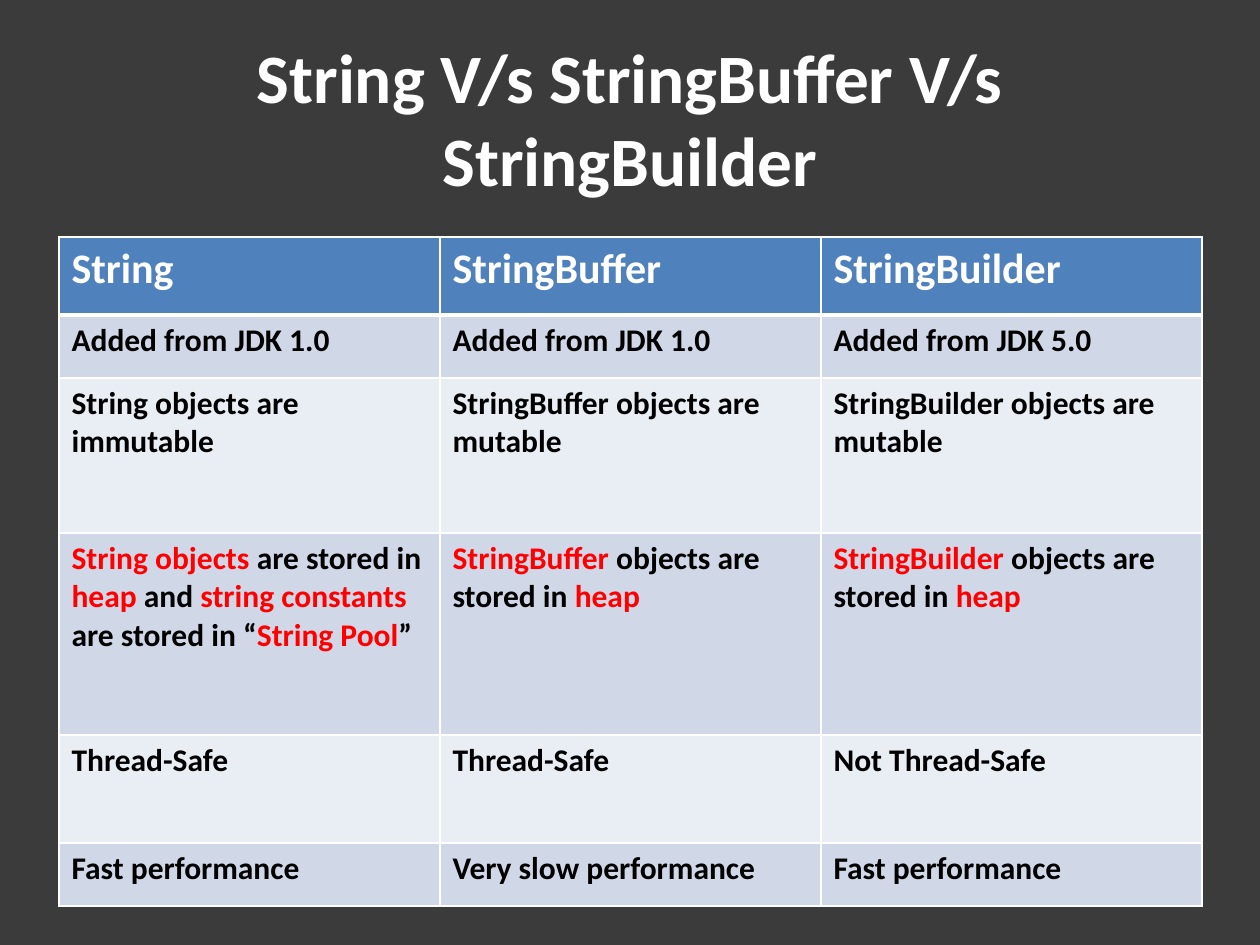
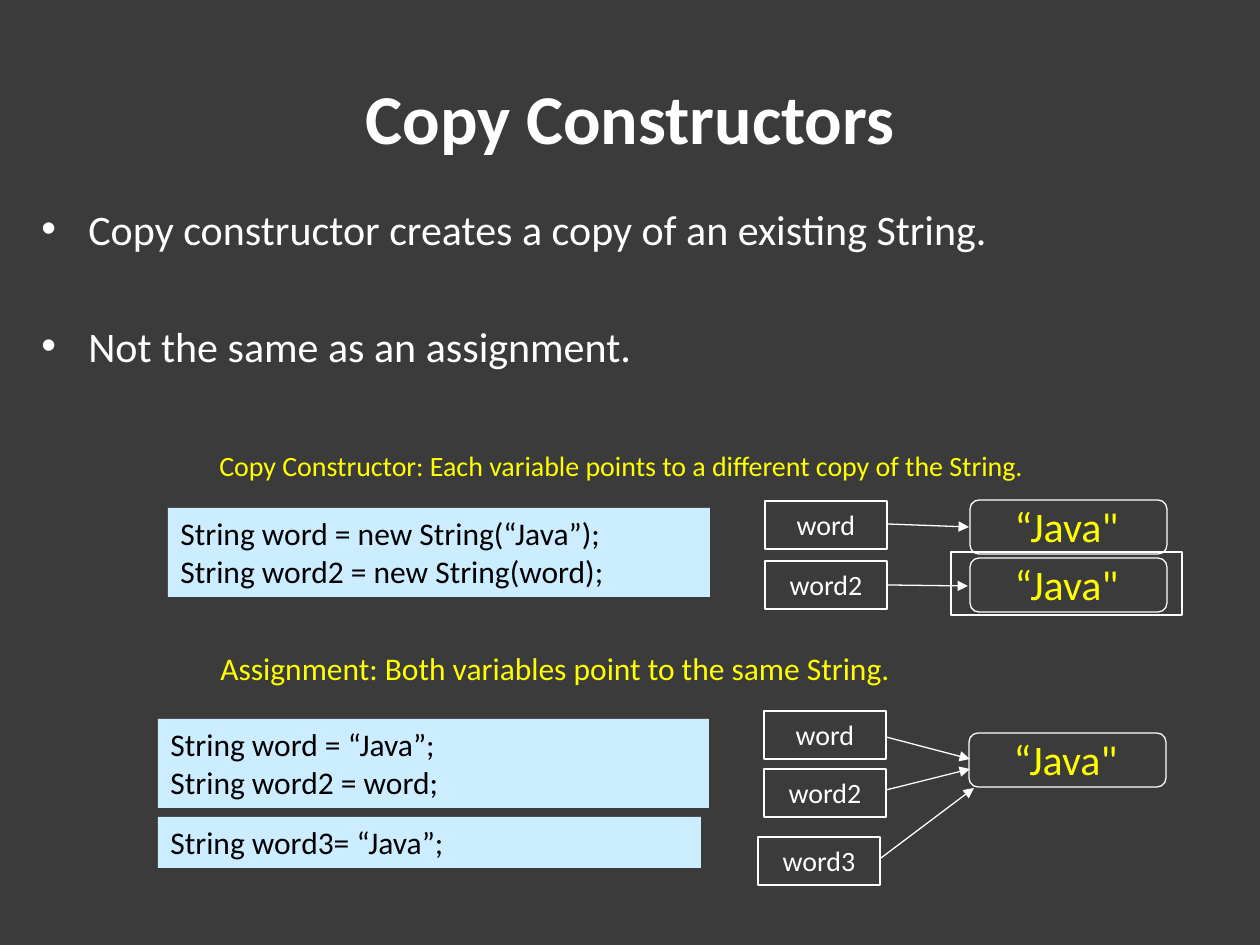
from collections import namedtuple
from dataclasses import dataclass

from lxml.etree import SubElement
from pptx import Presentation
from pptx.dml.color import RGBColor
from pptx.enum.shapes import MSO_CONNECTOR as Connector, MSO_SHAPE as Shape
from pptx.enum.text import MSO_ANCHOR as Anchor, PP_ALIGN as Align
from pptx.oxml.ns import qn
from pptx.util import Emu, Pt

Box = namedtuple("Box", "left top width height")


@dataclass(frozen=True)
class Theme:
    font: str = "Calibri"
    background: str = "3B3B3B"
    light: str = "FFFFFF"
    dark: str = "000000"
    accent: str = "FFFF00"
    highlight: str = "FF0000"
    code_fill: str = "CCECFF"
    header_fill: str = "4F81BD"
    bands: tuple = ("D0D8E8", "E9EDF4")
    title_size: float = 40
    large_size: float = 24
    medium_size: float = 18
    small_size: float = 16
    line_width: float = 0.75


THEME = Theme()

COMPARISON = (
    ("String", "StringBuffer", "StringBuilder"),
    ("Added from JDK 1.0", "Added from JDK 1.0", "Added from JDK 5.0"),
    ("String objects are immutable", "StringBuffer objects are mutable",
     "StringBuilder objects are mutable"),
    ("*String objects *are stored in *heap *and *string constants *are stored in “*String Pool*”",
     "*StringBuffer* objects are stored in *heap*",
     "*StringBuilder* objects are stored in *heap*"),
    ("Thread-Safe", "Thread-Safe", "Not Thread-Safe"),
    ("Fast performance", "Very slow performance", "Fast performance"),
)
ROW_HEIGHTS = (78, 63, 155, 202, 108, 63)

COPY_DEMO = {
    "caption": ("Copy Constructor: Each variable points to a different copy of the String.",
                (49, 0, 959, 47), THEME.small_size),
    "code": [("String word = new String(“Java”);\nString word2 = new String(word);",
              (10, 66, 542, 89))],
    "variables": [("word", 607, 59), ("word2", 607, 119)],
    "values": [(793, 52, False), (793, 110, True)],
    "arrows": [(730, 82, 811, 85), (729, 143, 810, 144)],
}
ASSIGNMENT_DEMO = {
    "caption": ("Assignment: Both variables point to the same String.",
                (50, 0, 764, 50), THEME.medium_size),
    "code": [("String word = “Java”;\nString word2 = word;", (0, 76, 551, 89)),
             ("String word3= “Java”;", (0, 174, 543, 51))],
    "variables": [("word", 606, 68), ("word2", 606, 126), ("word3", 600, 194)],
    "values": [(792, 84, False)],
    "arrows": [(728, 94, 812, 116), (728, 147, 812, 126), (723, 215, 816, 145)],
}


def px(length):
    return Emu(round(length * 914400 / 126))


def rgb(value):
    return RGBColor.from_string(value)


def within(box, left, top, width, height):
    return Box(box.left + left, box.top + top, width, height)


def write(paragraph, text, size, color, bold=False, align=Align.LEFT):
    paragraph.alignment = align
    for line_number, line in enumerate(text.split("\n")):
        if line_number:
            paragraph.add_line_break()
        for part_number, part in enumerate(line.split("*")):
            if not part:
                continue
            run = paragraph.add_run()
            run.text = part
            style = {"name": THEME.font, "size": Pt(size), "bold": bold}
            for attribute, value in style.items():
                setattr(run.font, attribute, value)
            run.font.color.rgb = rgb(THEME.highlight if part_number % 2 else color)


def set_frame(frame, anchor=Anchor.TOP):
    frame.word_wrap = True
    frame.vertical_anchor = anchor
    return frame


def add_text(shapes, box, text, size, color, anchor=Anchor.TOP, **style):
    label = shapes.add_textbox(*map(px, box))
    write(set_frame(label.text_frame, anchor).paragraphs[0], text, size, color, **style)


def add_panel(shapes, box, kind=Shape.RECTANGLE, fill=None, outlined=True):
    panel = shapes.add_shape(kind, *map(px, box))
    panel.shadow.inherit = False
    if fill:
        panel.fill.solid()
        panel.fill.fore_color.rgb = rgb(fill)
    else:
        panel.fill.background()
    if outlined:
        panel.line.color.rgb = rgb(THEME.light)
        panel.line.width = Pt(THEME.line_width)
    else:
        panel.line.fill.background()
    return set_frame(panel.text_frame).paragraphs[0]


def add_arrow(shapes, box, x1, y1, x2, y2):
    ends = (box.left + x1, box.top + y1, box.left + x2, box.top + y2)
    arrow = shapes.add_connector(Connector.STRAIGHT, *map(px, ends))
    arrow.line.color.rgb = rgb(THEME.light)
    arrow.line.width = Pt(THEME.line_width)
    SubElement(arrow.line._get_or_add_ln(), qn("a:tailEnd"), type="triangle")
    SubElement(arrow._element.spPr, qn("a:effectLst"))


def add_value(shapes, box, outlined):
    group = shapes.add_group_shape().shapes
    style = ("“Java\"", THEME.large_size, THEME.accent)
    if outlined:
        write(add_panel(group, box), *style, align=Align.CENTER)
    else:
        add_text(group, box, *style, align=Align.CENTER)
    add_panel(group, within(box, 19, 6, 197, 54), Shape.ROUNDED_RECTANGLE)


def add_demo(slide, box, demo):
    shapes = slide.shapes
    caption, place, size = demo["caption"]
    add_text(shapes, within(box, *place), caption, size, THEME.accent)
    for code, place in demo["code"]:
        paragraph = add_panel(shapes, within(box, *place), fill=THEME.code_fill, outlined=False)
        write(paragraph, code, THEME.medium_size, THEME.dark)
    for variable, left, top in demo["variables"]:
        paragraph = add_panel(shapes, within(box, left, top, 122, 48))
        write(paragraph, variable, THEME.small_size, THEME.light, align=Align.CENTER)
    for left, top, outlined in demo["values"]:
        add_value(shapes, within(box, left, top, 231, 63), outlined)
    for ends in demo["arrows"]:
        add_arrow(shapes, box, *ends)


def add_bullets(slide, box, points):
    frame = set_frame(slide.shapes.add_textbox(*map(px, box)).text_frame)
    for number, point in enumerate(points):
        paragraph = frame.add_paragraph() if number else frame.paragraphs[0]
        if number:
            paragraph.space_before = Pt(38)
        properties = paragraph._p.get_or_add_pPr()
        properties.set("marL", str(px(47)))
        properties.set("indent", str(-px(47)))
        SubElement(properties, qn("a:buFont"), typeface="Arial")
        SubElement(properties, qn("a:buChar"), char="•")
        write(paragraph, point, THEME.large_size, THEME.light)


def set_borders(cell, widths):
    properties = cell._tc.get_or_add_tcPr()
    for side, width in widths.items():
        border = SubElement(properties, qn(f"a:ln{side}"), w=str(Pt(width)))
        SubElement(SubElement(border, qn("a:solidFill")), qn("a:srgbClr"), val=THEME.light)


def add_comparison(slide, box):
    columns = len(COMPARISON[0])
    table = slide.shapes.add_table(len(COMPARISON), columns, *map(px, box)).table
    for column in table.columns:
        column.width = px(box.width // columns)
    for row_number, (texts, height) in enumerate(zip(COMPARISON, ROW_HEIGHTS)):
        table.rows[row_number].height = px(height)
        header = row_number == 0
        fill = THEME.header_fill if header else THEME.bands[(row_number - 1) % 2]
        size = THEME.large_size if header else THEME.medium_size
        color = THEME.light if header else THEME.dark
        widths = {"L": 1, "R": 1, "T": 3 if row_number == 1 else 1, "B": 3 if header else 1}
        for column_number, text in enumerate(texts):
            cell = table.cell(row_number, column_number)
            set_borders(cell, widths)
            cell.fill.solid()
            cell.fill.fore_color.rgb = rgb(fill)
            write(cell.text_frame.paragraphs[0], text, size, color, bold=True)


def add_slide(deck, title, size=THEME.title_size):
    slide = deck.slides.add_slide(deck.slide_layouts[6])
    slide.background.fill.solid()
    slide.background.fill.fore_color.rgb = rgb(THEME.background)
    add_text(slide.shapes, Box(63, 38, 1134, 158), title, size, THEME.light,
             Anchor.MIDDLE, bold=True, align=Align.CENTER)
    return slide


def main():
    deck = Presentation()
    deck.slide_width, deck.slide_height = px(1260), px(945)

    classes = add_slide(deck, "String V/s StringBuffer V/s StringBuilder", 39.6)
    add_comparison(classes, Box(59, 237, 1143, sum(ROW_HEIGHTS)))

    constructors = add_slide(deck, "Copy Constructors")
    add_bullets(constructors, Box(29, 197, 1157, 643),
                ("Copy constructor creates a copy of an existing String.",
                 "Not the same as an assignment."))
    add_demo(constructors, Box(158, 442, 1024, 173), COPY_DEMO)
    add_demo(constructors, Box(158, 643, 1024, 242), ASSIGNMENT_DEMO)

    deck.save("out.pptx")


if __name__ == "__main__":
    main()
